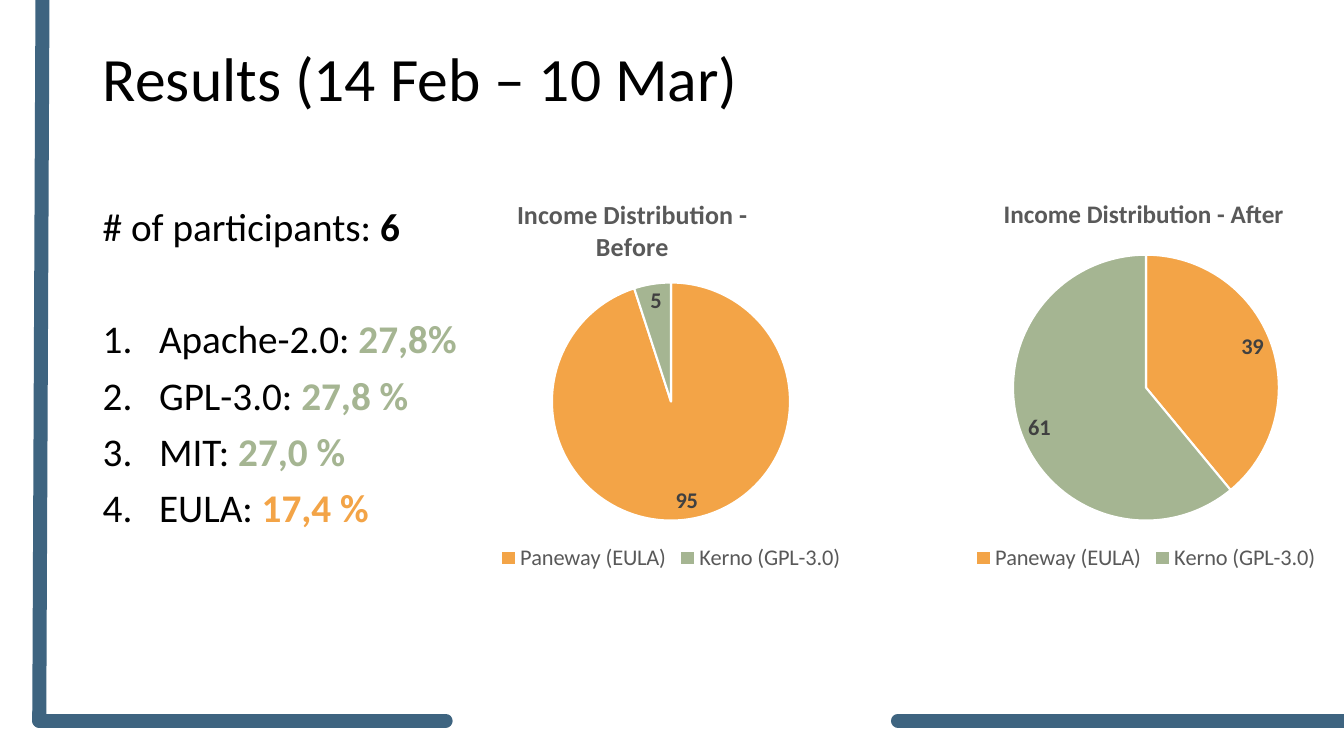
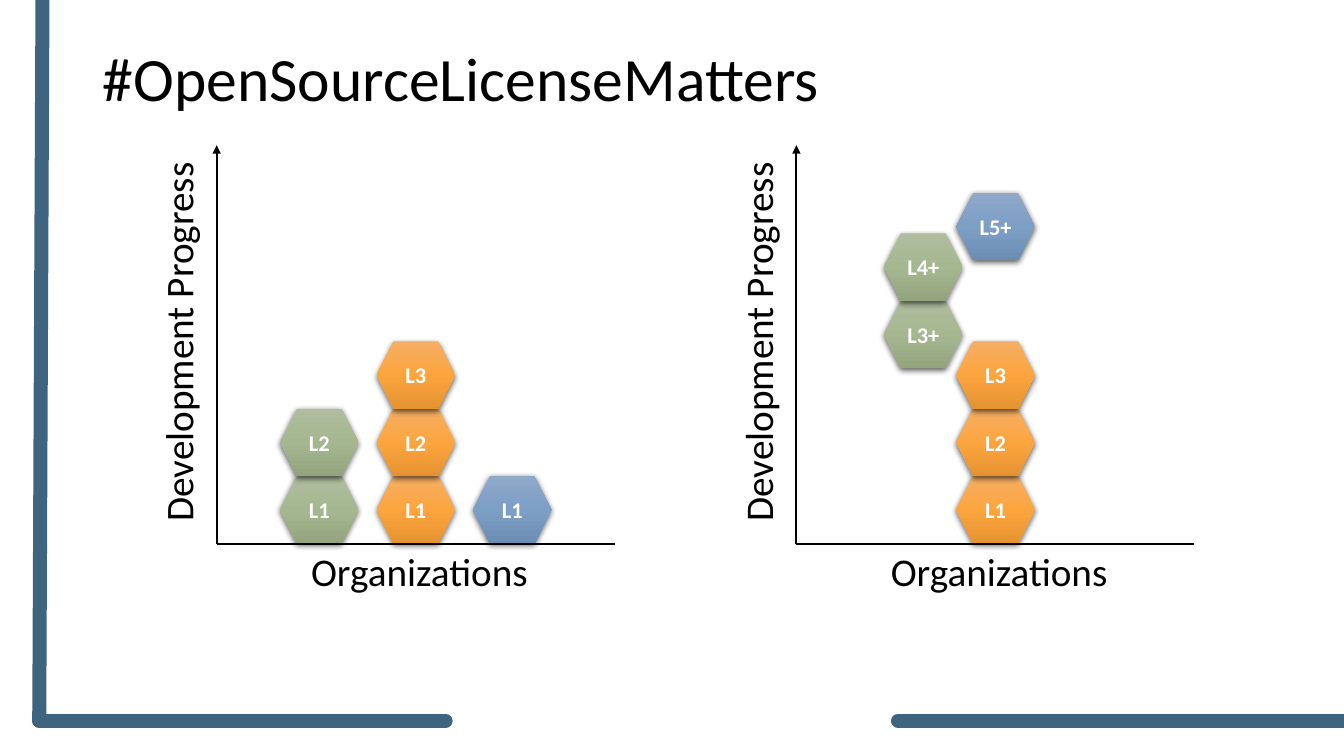
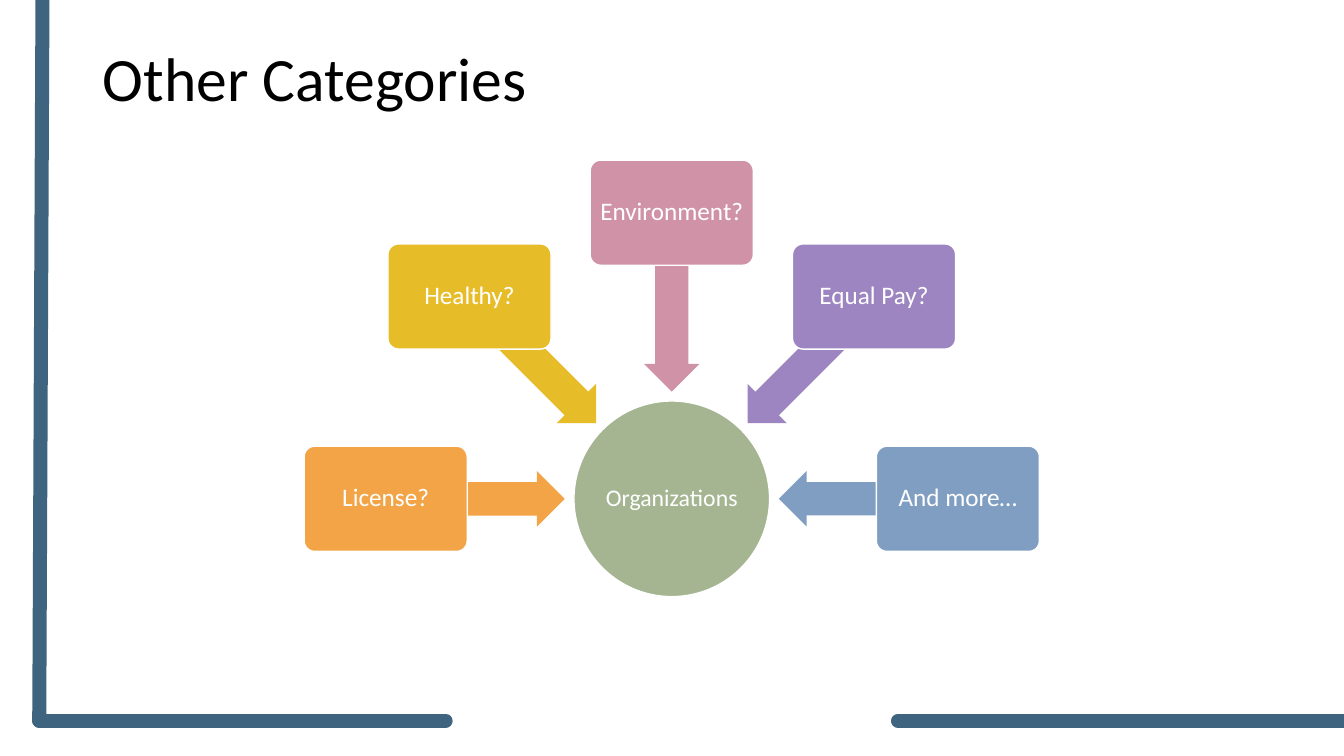
from copy import deepcopy
from dataclasses import dataclass
from itertools import pairwise
from math import cos, radians, sin
from typing import NamedTuple

from lxml.etree import SubElement
from pptx import Presentation
from pptx.chart.data import CategoryChartData as ChartData
from pptx.dml.color import RGBColor
from pptx.enum.chart import XL_CHART_TYPE as Kind
from pptx.enum.chart import XL_LABEL_POSITION as Spot
from pptx.enum.chart import XL_LEGEND_POSITION as Side
from pptx.enum.shapes import MSO_CONNECTOR as Link
from pptx.enum.shapes import MSO_SHAPE as Form
from pptx.enum.text import MSO_ANCHOR as Anchor
from pptx.enum.text import MSO_AUTO_SIZE as Fit
from pptx.enum.text import PP_ALIGN as Align
from pptx.oxml.ns import qn
from pptx.shapes.autoshape import Shape
from pptx.shapes.connector import Connector
from pptx.slide import Slide
from pptx.text.text import TextFrame
from pptx.util import Cm, Pt

# Shared style
FONT = "Calibri"
BLACK = RGBColor(0x00, 0x00, 0x00)
WHITE = RGBColor(0xFF, 0xFF, 0xFF)
FRAME = RGBColor(0x3E, 0x64, 0x80)
GRAY = RGBColor(0x59, 0x59, 0x59)
DARK = RGBColor(0x40, 0x40, 0x40)
ORANGE = RGBColor(0xF3, 0xA4, 0x47)
GREEN = RGBColor(0xA5, 0xB5, 0x92)
YELLOW = RGBColor(0xE7, 0xBC, 0x29)
PINK = RGBColor(0xD0, 0x92, 0xA7)
PURPLE = RGBColor(0x9C, 0x85, 0xC0)
BLUE = RGBColor(0x80, 0x9E, 0xC2)

# Hexagon shades, from top to bottom
Shades = tuple[RGBColor, RGBColor, RGBColor]
LEAF: Shades = (RGBColor(0xAF, 0xBD, 0x9E), RGBColor(0xA5, 0xB7, 0x90), RGBColor(0x93, 0xA4, 0x7E))
AMBER: Shades = (RGBColor(0xF6, 0xAE, 0x64), RGBColor(0xFC, 0xA5, 0x3E), RGBColor(0xE5, 0x93, 0x32))
SKY: Shades = (RGBColor(0x8F, 0xA9, 0xC9), RGBColor(0x7D, 0x9E, 0xC5), RGBColor(0x6B, 0x8C, 0xB3))


class Box(NamedTuple):
    """Left, top, width and height in centimetres."""
    left: float
    top: float
    width: float
    height: float

    def cm(self) -> list[Cm]:
        return [Cm(side) for side in self]


class Point(NamedTuple):
    x: float
    y: float


class Run(NamedTuple):
    text: str
    color: RGBColor


@dataclass(frozen=True)
class Pie:
    title: str
    points: float
    left: float
    shares: tuple[int, int]
    size: float
    indent: float


@dataclass(frozen=True)
class Stack:
    col: float
    level: float
    shades: Shades
    labels: tuple[str, ...]


@dataclass(frozen=True)
class Topic:
    text: str
    angle: int
    color: RGBColor


def around(mid: Point, width: float, height: float) -> Box:
    return Box(mid.x - width / 2, mid.y - height / 2, width, height)


def write(frame: TextFrame, text: str, *, size: float, color: RGBColor = BLACK,
          bold: bool = False, align: Align = Align.LEFT, space: float = 1.0,
          before: float = 0, number: bool = False, strong: Run | None = None) -> None:
    """Add a paragraph; a strong run ends it in bold."""
    para = frame.paragraphs[0]
    if para.runs:
        para = frame.add_paragraph()
    para.alignment = align
    para.line_spacing = space
    para.space_before = Pt(before)
    if number:
        props = para._p.get_or_add_pPr()
        props.set("marL", str(Cm(1.42)))
        props.set("indent", str(-Cm(1.42)))
        SubElement(props, qn("a:buAutoNum"), type="arabicPeriod")
    parts = [(Run(text, color), bold)] + ([(strong, True)] if strong else [])
    for part, heavy in parts:
        run = para.add_run()
        run.text = part.text
        font = run.font
        font.name, font.size, font.bold = FONT, Pt(size), heavy
        font.color.rgb = part.color


def add_line(slide: Slide, start: Point, end: Point, color: RGBColor, width: float,
             cap: str = "flat", arrow: bool = False) -> Connector:
    line = slide.shapes.add_connector(
        Link.STRAIGHT, Cm(start.x), Cm(start.y), Cm(end.x), Cm(end.y))
    line.line.color.rgb = color
    line.line.width = Pt(width)
    props = line.element.spPr
    stroke = props.find(qn("a:ln"))
    stroke.set("cap", cap)
    if arrow:
        SubElement(stroke, qn("a:tailEnd"), type="triangle")
    SubElement(props, qn("a:effectLst"))
    return line


def add_form(slide: Slide, form: Form, box: Box, color: RGBColor | None = None,
             edge: RGBColor | None = None, inset: float = 0) -> Shape:
    shape = slide.shapes.add_shape(form, *box.cm())
    shape.shadow.inherit = False
    if color is not None:
        shape.fill.solid()
        shape.fill.fore_color.rgb = color
    if edge is None:
        shape.line.fill.background()
    else:
        shape.line.color.rgb = edge
        shape.line.width = Pt(1)
    frame = shape.text_frame
    frame.vertical_anchor = Anchor.MIDDLE
    frame.margin_left = frame.margin_right = Cm(inset)
    frame.margin_top = frame.margin_bottom = Cm(inset)
    return shape


def add_label(slide: Slide, text: str, box: Box, upright: bool = False) -> None:
    frame = slide.shapes.add_textbox(*box.cm()).text_frame
    frame.word_wrap = not upright
    frame.auto_size = Fit.SHAPE_TO_FIT_TEXT
    if upright:
        frame._txBody.bodyPr.set("vert", "vert270")
    write(frame, text, size=28)


deck = Presentation()
deck.slide_width, deck.slide_height = Cm(33.87), Cm(19.05)
base = deck.slide_layouts[5]


def add_slide(title: str) -> Slide:
    slide = deck.slides.add_slide(base)
    head = slide.shapes.title
    head.left, head.top, head.width, head.height = Box(2.34, 1.02, 30.63, 2.08).cm()
    frame = head.text_frame
    frame.vertical_anchor = Anchor.MIDDLE
    frame.auto_size = Fit.NONE
    write(frame, title, size=44, space=0.9)
    return slide


def add_frame(slide: Slide) -> None:
    """Draw the rounded border and hand it to the layout."""
    corner = [Point(1.07, 0), Point(0.99, 17.98), Point(0.99, 18.16), Point(11.23, 18.16)]
    edges = [*pairwise(corner), (Point(22.63, 18.16), Point(33.87, 18.16))]
    for number, (start, end) in enumerate(edges, 20):
        line = add_line(slide, start, end, FRAME, 10, cap="rnd")
        line.element.nvCxnSpPr.cNvPr.id = number
        base.element.cSld.spTree.append(line.element)


# Slide 1: results
def set_layout(parent, after: str, **sides: float) -> None:
    """Fix the place of a chart part as shares of the chart."""
    for old in parent.findall(qn("c:layout")):
        parent.remove(old)
    layout = parent.makeelement(qn("c:layout"))
    manual = SubElement(layout, qn("c:manualLayout"))
    if "w" in sides:
        SubElement(manual, qn("c:layoutTarget"), val="inner")
    for axis in ("x", "y"):
        SubElement(manual, qn(f"c:{axis}Mode"), val="edge")
    for key, share in sides.items():
        SubElement(manual, qn(f"c:{key}"), val=f"{share:.3f}")
    prior = parent.find(qn(after)) if after else None
    parent.insert(0 if prior is None else parent.index(prior) + 1, layout)


def add_pie(slide: Slide, pie: Pie) -> None:
    data = ChartData()
    data.categories = ["Paneway (EULA)", "Kerno (GPL-3.0)"]
    data.add_series("Series 1", pie.shares)
    box = Box(pie.left, 4.52, 10, 10)
    chart = slide.shapes.add_chart(Kind.PIE, *box.cm(), data).chart
    chart.font.name, chart.font.size = FONT, Pt(10)

    chart.has_title = True
    write(chart.chart_title.text_frame, pie.title, size=pie.points, color=GRAY,
          bold=True, align=Align.CENTER)
    chart.chart_title.include_in_layout = False
    set_layout(chart.chart_title._element, "c:tx", x=pie.indent, y=0.03)

    chart.has_legend = True
    legend = chart.legend
    legend.position = Side.BOTTOM
    legend.include_in_layout = False
    legend.font.name, legend.font.size = FONT, Pt(16)
    legend.font.color.rgb = GRAY

    plot = chart.plots[0]
    plot.vary_by_categories = True
    for index, color in enumerate((ORANGE, GREEN)):
        style = plot.series[0].points[index].format
        style.fill.solid()
        style.fill.fore_color.rgb = color
        style.line.color.rgb = WHITE
        style.line.width = Pt(1.5)
    plot.has_data_labels = True
    labels = plot.data_labels
    labels.show_value = True
    labels.position = Spot.BEST_FIT
    labels.font.name, labels.font.size, labels.font.bold = FONT, Pt(16), True
    labels.font.color.rgb = DARK
    area = chart.element.chart.plotArea
    set_layout(area, "", x=(1 - pie.size) / 2, y=0.86 - pie.size, w=pie.size, h=pie.size)


slide = add_slide("Results (14 Feb – 10 Mar)")
add_frame(slide)
body = slide.shapes.add_textbox(*Box(2.34, 4.09, 30.63, 10.44).cm()).text_frame
body.word_wrap = True
body.vertical_anchor = Anchor.MIDDLE
write(body, "# of participants:\u00a0", size=28, space=0.9, before=10, strong=Run("6", BLACK))
SCORES = [
    ("Apache-2.0", Run("27,8%", GREEN)),
    ("GPL-3.0", Run("27,8 %", GREEN)),
    ("MIT", Run("27,0 %", GREEN)),
    ("EULA", Run("17,4 %", ORANGE)),
]
for index, (name, score) in enumerate(SCORES):
    write(body, f"{name}:\u00a0", size=28, space=0.9, before=10 if index else 50,
          number=True, strong=score)
for pie in (
    Pie("Income Distribution - Before", 18.6, 11.91, (95, 5), 0.6, 0.1),
    Pie("Income Distribution - After", 18, 23.88, (39, 61), 0.67, 0.13),
):
    add_pie(slide, pie)


# Slide 2: progress graphs
FLOOR = 13.7
HEX_W, HEX_H = 1.98, 1.7
STEP = 2.43


def add_hex(slide: Slide, text: str, box: Box, shades: Shades) -> None:
    shape = add_form(slide, Form.HEXAGON, box)
    fill = shape.fill
    fill.gradient()
    fill.gradient_angle = 270
    props = shape.element.spPr
    stops = props.find(qn("a:gradFill")).find(qn("a:gsLst"))
    stops.append(deepcopy(stops[0]))
    for index, (stop, color) in enumerate(zip(fill.gradient_stops, shades)):
        stop.position = index / 2
        stop.color.rgb = color
    shadow = SubElement(props.find(qn("a:effectLst")), qn("a:outerShdw"),
                        blurRad=str(Pt(4.5)), dist=str(Pt(1.5)), dir="5400000",
                        algn="ctr", rotWithShape="0")
    tint = SubElement(shadow, qn("a:srgbClr"), val=str(BLACK))
    SubElement(tint, qn("a:alpha"), val="63000")
    shape.text_frame.word_wrap = False
    write(shape.text_frame, text, size=16, color=WHITE, bold=True, align=Align.CENTER)


def add_graph(slide: Slide, left: float, stacks: list[Stack]) -> None:
    for stack in stacks:
        for index, text in enumerate(stack.labels):
            top = FLOOR - HEX_H * (stack.level + index + 1)
            box = Box(left + 1.6 + STEP * stack.col, top, HEX_W, HEX_H)
            add_hex(slide, text, box, stack.shades)
    start = Point(left, FLOOR)
    add_line(slide, start, Point(left, 3.66), BLACK, 1.5, arrow=True)
    add_line(slide, start, Point(left + 10.03, FLOOR), BLACK, 1.5)
    add_label(slide, "Development Progress", Box(left - 1.7, 3.99, 1.7, 9.4), upright=True)
    add_label(slide, "Organizations", Box(left + 2.13, 13.67, 6.5, 1.7))


slide = add_slide("#OpenSourceLicenseMatters")
TOWER = Stack(1, 0, AMBER, ("L1", "L2", "L3"))
add_graph(slide, 5.46, [
    Stack(0, 0, LEAF, ("L1", "L2")), TOWER, Stack(2, 0, SKY, ("L1",)),
])
add_graph(slide, 20.07, [
    Stack(0.25, 2.6, LEAF, ("L3+", "L4+")), TOWER, Stack(1, 4.2, SKY, ("L5+",)),
])


# Slide 3: topics around a hub
HUB = Point(16.93, 12.57)


def orbit(angle: int, radius: float) -> Point:
    turn = radians(angle)
    return Point(HUB.x + radius * cos(turn), HUB.y + radius * sin(turn))


def add_topic(slide: Slide, topic: Topic) -> None:
    spot = around(orbit(topic.angle, 4.95), 4.5, 1.4)
    arrow = add_form(slide, Form.LEFT_ARROW, spot, topic.color)
    arrow.adjustments[0] = 0.6
    arrow.adjustments[1] = 0.5
    arrow.rotation = topic.angle
    spot = around(orbit(topic.angle, 7.21), 4.11, 2.65)
    card = add_form(slide, Form.ROUNDED_RECTANGLE, spot, topic.color, WHITE, 0.1)
    card.adjustments[0] = 0.1
    write(card.text_frame, topic.text, size=18, color=WHITE, align=Align.CENTER, space=0.9)


slide = add_slide("Other Categories")
hub = add_form(slide, Form.OVAL, around(HUB, 4.93, 4.93), GREEN, WHITE)
write(hub.text_frame, "Organizations", size=17, color=WHITE, align=Align.CENTER, space=0.9)
for topic in (
    Topic("License?", 180, ORANGE),
    Topic("Healthy?", 225, YELLOW),
    Topic("Environment?", 270, PINK),
    Topic("Equal Pay?", 315, PURPLE),
    Topic("And more…", 0, BLUE),
):
    add_topic(slide, topic)

deck.save("out.pptx")
